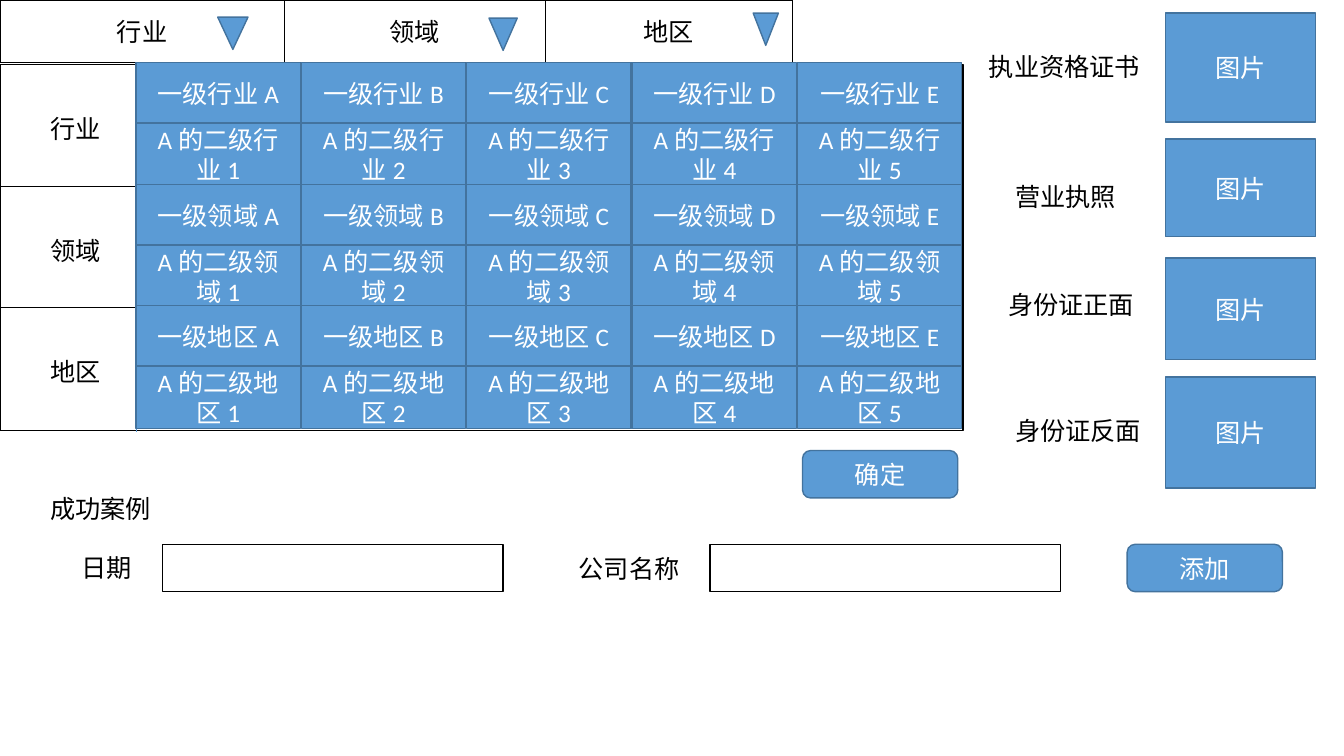
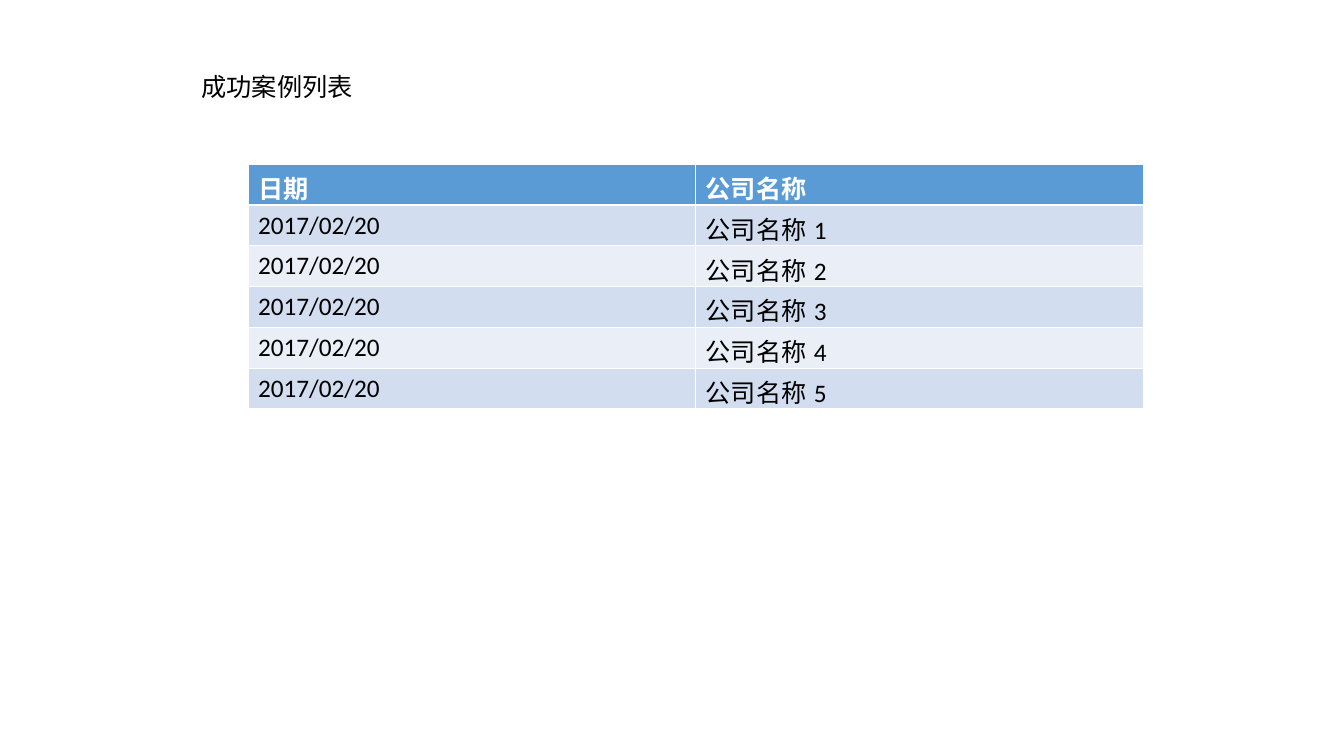
from lxml.etree import SubElement
from pptx import Presentation
from pptx.dml.color import RGBColor
from pptx.enum.shapes import MSO_CONNECTOR, MSO_SHAPE as Preset
from pptx.enum.text import MSO_ANCHOR as Anchor, PP_ALIGN as Align
from pptx.oxml.ns import qn
from pptx.util import Pt

PX = 9144  # 100 px to the inch
BLACK = RGBColor(0x00, 0x00, 0x00)
WHITE = RGBColor(0xFF, 0xFF, 0xFF)
BLUE = RGBColor(0x5B, 0x9B, 0xD5)
DARK_BLUE = RGBColor(0x43, 0x73, 0x9E)
BAND_DARK = RGBColor(0xD2, 0xDE, 0xEF)
BAND_LIGHT = RGBColor(0xEA, 0xEF, 0xF7)


def write_text(frame, text, color=BLACK, align=Align.LEFT, anchor=Anchor.TOP,
               bold=False, wrap=True):
    frame.word_wrap = wrap
    frame.vertical_anchor = anchor
    paragraph = frame.paragraphs[0]
    paragraph.alignment = align
    run = paragraph.add_run()
    run.text = text
    run.font.name = "Calibri"
    run.font.size = Pt(18)
    run.font.bold = bold
    run.font.color.rgb = color


def add_box(slide, box, text="", preset=Preset.RECTANGLE, fill=BLUE, line=DARK_BLUE,
            color=WHITE):
    shape = slide.shapes.add_shape(preset, *(value * PX for value in box))
    shape.shadow.inherit = False
    shape.fill.solid()
    shape.fill.fore_color.rgb = fill
    shape.line.color.rgb = line
    shape.line.width = Pt(1)
    if text:
        write_text(shape.text_frame, text, color=color, align=Align.CENTER,
                   anchor=Anchor.MIDDLE)


presentation = Presentation()
presentation.slide_width = 1333 * PX
presentation.slide_height = 750 * PX
blank = presentation.slide_layouts[6]
form = presentation.slides.add_slide(blank)
case_list = presentation.slides.add_slide(blank)
outlined = {"fill": WHITE, "line": BLACK, "color": BLACK}
topics = ["行业", "领域", "地区"]

# Filter headers with drop-down arrows
left = 0
for topic, width in zip(topics, (282, 259, 245)):
    add_box(form, (left, 0, width, 62), topic, **outlined)
    left += width
for arrow in ((216, 17, 30, 32), (485, 18, 28, 32), (747, 13, 25, 32)):
    add_box(form, arrow, preset=Preset.FLOWCHART_MERGE)

# Option bands: five first-level options above five second-level ones
labels = []
for topic, top in zip(topics, (64, 185, 305)):
    add_box(form, (0, top, 955, 122), **outlined)
    labels.append((form, topic, (40, top + 44, 79, 40), True))
    divider = form.shapes.add_connector(
        MSO_CONNECTOR.STRAIGHT, 135 * PX, top * PX, 135 * PX, (top + 124) * PX)
    divider.line.color.rgb = BLUE
    divider.line.width = Pt(0.5)
    SubElement(divider._element.spPr, qn("a:effectLst"))
    first_level = [f"一级{topic}{letter}" for letter in "ABCDE"]
    second_level = [f"A的二级{topic}{number}" for number in range(1, 6)]
    for row, options in enumerate((first_level, second_level)):
        for column, option in enumerate(options):
            add_box(form, (135 + 164 * column, top - 2 + 60 * row, 163, 62), option)

# Certificate images
for top, height in ((13, 108), (138, 97), (256, 101), (374, 110)):
    add_box(form, (1156, top, 149, height), "图片")

# Input fields and buttons
for left, width in ((161, 338), (704, 348)):
    add_box(form, (left, 540, width, 47), **outlined)
for text, left, top in (("添加", 1118, 540), ("确定", 796, 447)):
    add_box(form, (left, top, 154, 47), text, Preset.ROUNDED_RECTANGLE)

# Labels of both slides: slide, text, box, wrap
labels += [
    (form, "执业资格证书", (971, 46, 172, 40), False),
    (form, "营业执照", (997, 175, 121, 40), False),
    (form, "身份证正面", (990, 282, 146, 40), False),
    (form, "身份证反面", (997, 407, 146, 40), False),
    (form, "成功案例", (40, 484, 121, 40), False),
    (form, "日期", (71, 543, 121, 40), True),
    (form, "公司名称", (564, 544, 121, 40), True),
    (case_list, "成功案例列表", (190, 66, 353, 40), True),
]
for slide, text, box, wrap in labels:
    label = slide.shapes.add_textbox(*(value * PX for value in box))
    write_text(label.text_frame, text, wrap=wrap)

# Table of success cases
rows = [("日期", "公司名称")]
rows += [("2017/02/20", f"公司名称{number}") for number in range(1, 6)]
table = case_list.shapes.add_table(
    len(rows), 2, 246 * PX, 163 * PX, 888 * PX, 243 * PX).table
for row, texts in enumerate(rows):
    is_header = row == 0
    fill = BLUE if is_header else BAND_DARK if row % 2 else BAND_LIGHT
    for column, text in enumerate(texts):
        cell = table.cell(row, column)
        cell.fill.solid()
        cell.fill.fore_color.rgb = fill
        write_text(cell.text_frame, text, color=WHITE if is_header else BLACK,
                   bold=is_header)

presentation.save("out.pptx")
